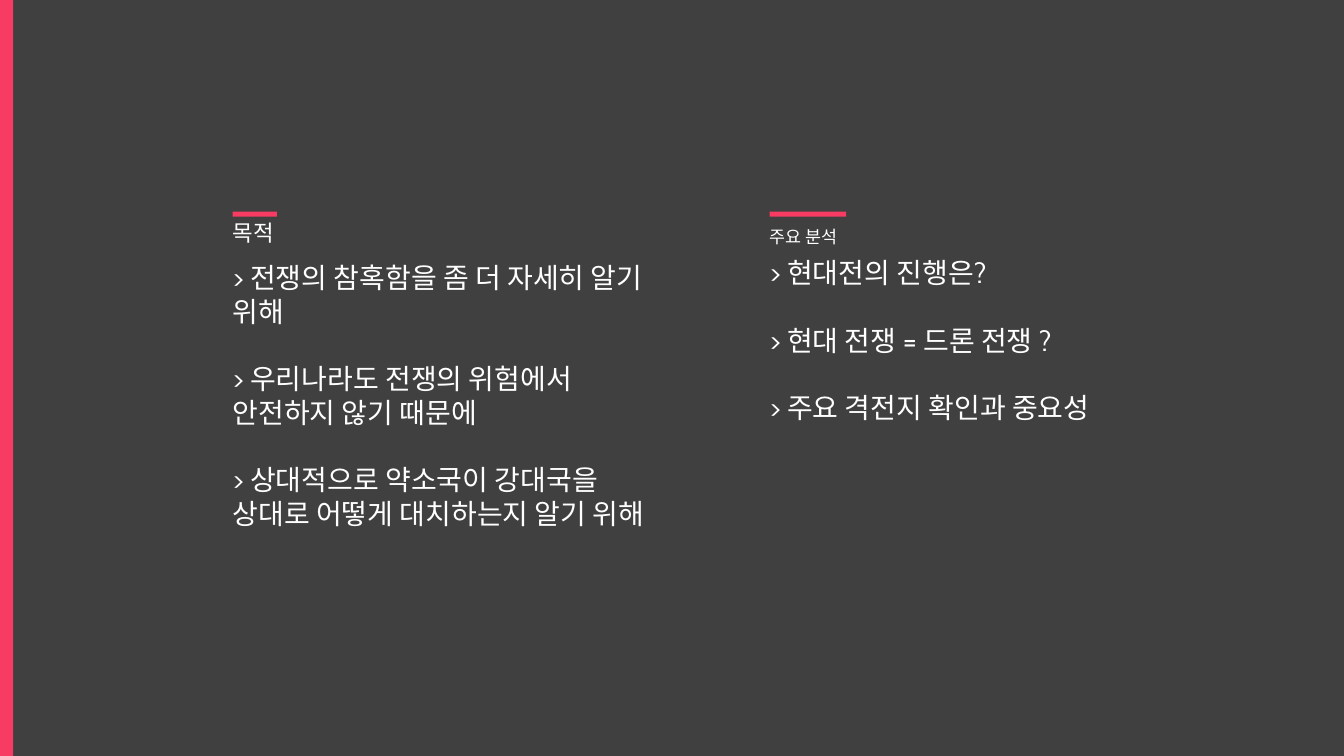
import pptx
import pptx.util
import pptx.dml.color
import pptx.enum.shapes
import pptx.enum.text

Inches = pptx.util.Inches
Pt = pptx.util.Pt

COLORS = {"background": "404040", "accent": "F73B63", "text": "FFFFFF"}
FONT = "Cabin"
SLIDE_WIDTH, SLIDE_HEIGHT = 13.34, 7.5
INSET = 0.1
LINE_GAP = 24

PURPOSE = [
    "> 전쟁의 참혹함을 좀 더 자세히 알기 위해",
    "> 우리나라도 전쟁의 위험에서 안전하지 않기 때문에",
    "> 상대적으로 약소국이 강대국을 상대로 어떻게 대치하는지 알기 위해",
]
ANALYSIS = [
    "> 현대전의 진행은?",
    "> 현대 전쟁 = 드론 전쟁 ?",
    "> 주요 격전지 확인과 중요성",
]


def rgb(name):
    return pptx.dml.color.RGBColor.from_string(COLORS[name])


def add_bar(slide, left, top, width, height):
    bar = slide.shapes.add_shape(
        pptx.enum.shapes.MSO_SHAPE.RECTANGLE,
        Inches(left), Inches(top), Inches(width), Inches(height))
    bar.shadow.inherit = False
    bar.fill.solid()
    bar.fill.fore_color.rgb = rgb("accent")
    bar.line.fill.background()


def write_lines(frame, lines, size, anchor, spacing=1.0, gap=0):
    frame.word_wrap = True
    frame.auto_size = pptx.enum.text.MSO_AUTO_SIZE.NONE
    frame.vertical_anchor = anchor
    frame.margin_left = frame.margin_right = Inches(INSET)
    frame.margin_top = frame.margin_bottom = Inches(0.05)
    frame.text = "\n".join(lines)
    for paragraph in frame.paragraphs:
        paragraph.alignment = pptx.enum.text.PP_ALIGN.LEFT
        paragraph.line_spacing = spacing
        paragraph.space_before = Pt(0)
        paragraph.space_after = Pt(gap)
        for run in paragraph.runs:
            run.font.name = FONT
            run.font.size = Pt(size)
            run.font.color.rgb = rgb("text")


def add_column(slide, heading, box, bar_width, title, title_width,
               title_size, title_spacing, points):
    left, top, width, height = box
    bar_top, heading_top, heading_height = 2.1, 2.22, 0.27
    add_bar(slide, left + INSET, bar_top, bar_width, 0.05)
    heading.left, heading.top = Inches(left), Inches(heading_top)
    heading.width, heading.height = Inches(title_width), Inches(heading_height)
    write_lines(heading.text_frame, [title], title_size,
                pptx.enum.text.MSO_ANCHOR.BOTTOM, title_spacing)
    body = slide.shapes.add_textbox(
        Inches(left), Inches(top), Inches(width), Inches(height))
    write_lines(body.text_frame, points, 20,
                pptx.enum.text.MSO_ANCHOR.TOP, gap=LINE_GAP)


def build_purpose_slide(deck):
    slide = deck.slides.add_slide(deck.slide_layouts[5])
    slide.background.fill.solid()
    slide.background.fill.fore_color.rgb = rgb("background")
    add_bar(slide, 0, 0, 0.13, SLIDE_HEIGHT)
    add_column(slide, slide.shapes.title, (2.21, 2.54, 4.33, 3.1),
               0.44, "목적", 0.77, 16, 0.9, PURPOSE)
    analysis_heading = slide.shapes.add_textbox(0, 0, 0, 0)
    add_column(slide, analysis_heading, (7.54, 2.49, 3.94, 1.77),
               0.76, "주요 분석", 1.32, 12.4, 0.7, ANALYSIS)


def main():
    deck = pptx.Presentation()
    deck.slide_width = Inches(SLIDE_WIDTH)
    deck.slide_height = Inches(SLIDE_HEIGHT)
    build_purpose_slide(deck)
    deck.save("out.pptx")


if __name__ == "__main__":
    main()
